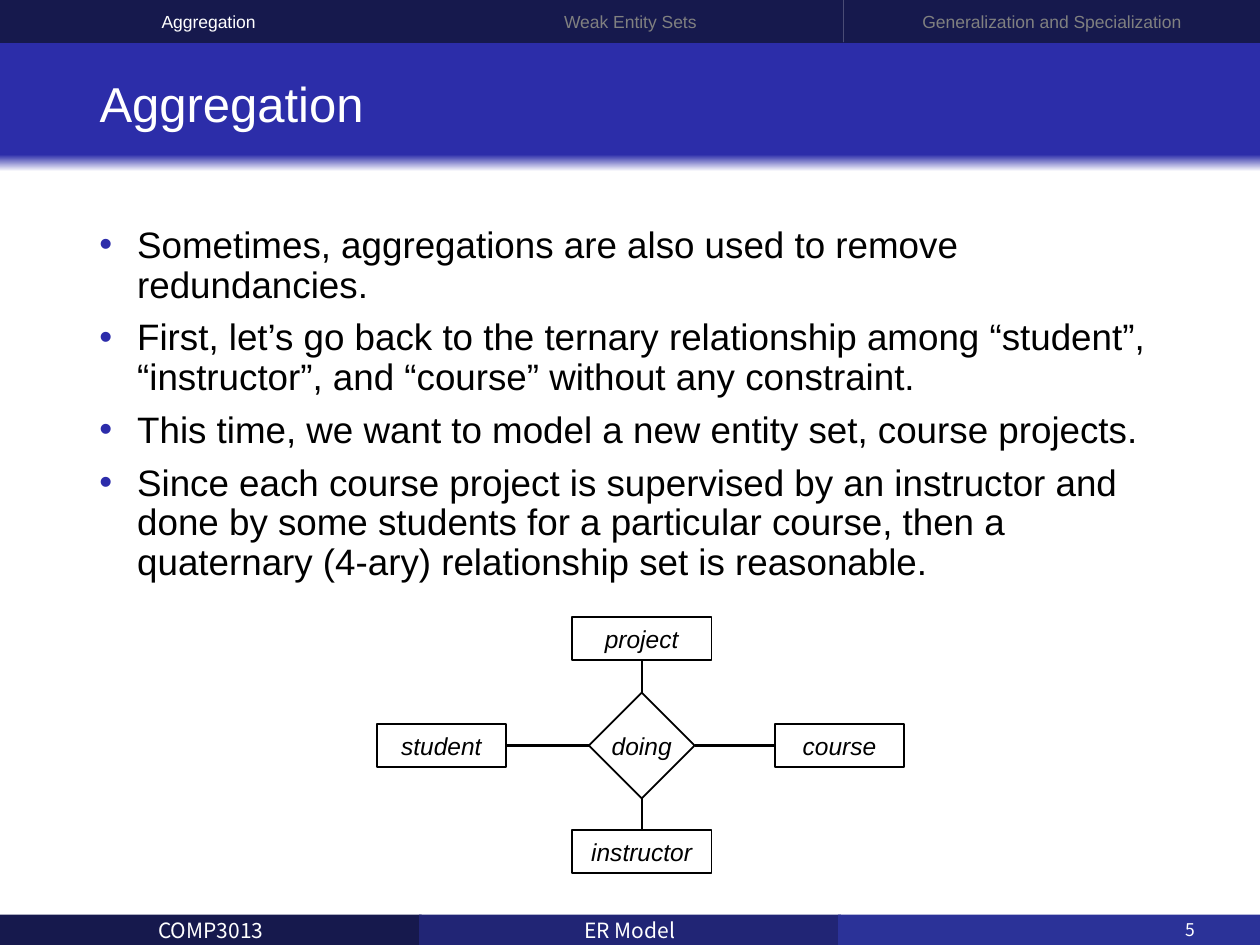
from pptx import Presentation
from pptx.dml.color import RGBColor
from pptx.enum.shapes import MSO_CONNECTOR, MSO_SHAPE
from pptx.enum.text import MSO_ANCHOR, PP_ALIGN
from pptx.oxml.ns import qn
from pptx.util import Pt
from lxml.etree import SubElement

# Content
TITLE = "Aggregation"
POINTS = [
    "Sometimes, aggregations are also used to remove redundancies.",
    "First, let’s go back to the ternary relationship among “student”, "
    "“instructor”, and “course” without any constraint.",
    "This time, we want to model a new entity set, course projects.",
    "Since each course project is supervised by an instructor and done by "
    "some students for a particular course, then a quaternary (4-ary) "
    "relationship set is reasonable.",
]
TABS = [  # text, left, width, colour
    ("Aggregation", 0, 238.3, "white"),
    ("Weak Entity Sets", 238.3, 243.7, "grey"),
    ("Generalization and Specialization", 482, 238, "grey"),
]
FOOT = [("COMP3013", "navy"), ("ER Model", "deep"), ("", "royal")]
PAGE = "5"
HUB = "doing"
ENTS = [  # name, offset from hub, width
    ("student", (-114.5, 0), 73.5),
    ("course", (113, 0), 73.5),
    ("instructor", (0, 60.7), 80),
    ("project", (0, -61), 80),
]


class Theme:
    white, black, grey = "FFFFFF", "000000", "808080"
    navy, deep, royal = "16194D", "212575", "2B3298"
    band, dot = "2C2DA9", "2C2CAA"
    head = dict(name="Arial", size=Pt(28))
    body = dict(name="Arial", size=Pt(21))
    node = dict(name="Arial", size=Pt(14), italic=True)
    tab = dict(name="Arial", size=Pt(10))
    foot = dict(name="Noto Sans CJK SC", size=Pt(12))
    page = dict(name="Noto Sans CJK JP", size=Pt(10))


def rgb(name):
    return RGBColor.from_string(getattr(Theme, name))


def apply(item, form):
    for key, val in form.items():
        setattr(item, key, val)


def write(shape, text, font, color, align=PP_ALIGN.CENTER, wrap=True):
    frame = shape.text_frame
    apply(frame, dict(word_wrap=wrap, vertical_anchor=MSO_ANCHOR.MIDDLE))
    para = frame.paragraphs[0]
    para.alignment = align
    add_run(para, text, font, color)


def add_run(para, text, font, color):
    run = para.add_run()
    run.text = text
    apply(run.font, font)
    run.font.color.rgb = rgb(color)


def add_box(slide, kind, place, fill=None, line=None):
    shape = slide.shapes.add_shape(kind, *map(Pt, place))
    shape.shadow.inherit = False
    if fill:
        shape.fill.solid()
        shape.fill.fore_color.rgb = rgb(fill)
    else:
        shape.fill.background()
    if line:
        shape.line.color.rgb = rgb(line)
        shape.line.width = Pt(1)
    else:
        shape.line.fill.background()
    return shape


def add_text(slide, place):
    return slide.shapes.add_textbox(*map(Pt, place))


def add_link(slide, start, end):
    link = slide.shapes.add_connector(
        MSO_CONNECTOR.STRAIGHT, *map(Pt, (*start, *end)))
    link.line.color.rgb = rgb("black")
    link.line.width = Pt(1.25)
    SubElement(link._element.spPr, qn("a:effectLst"))


def add_foot(slide):
    top, high, wide = 522.7, 17.3, 241
    step = (720 - wide) / (len(FOOT) - 1)
    for i, (text, fill) in enumerate(FOOT):
        box = add_box(slide, MSO_SHAPE.RECTANGLE,
                      (i * step, top, wide, high), fill)
        if text:
            write(box, text, Theme.foot, "white")
    write(add_text(slide, (670.3, top, 43.2, high)), PAGE,
          Theme.page, "white", PP_ALIGN.LEFT)


def add_title(slide):
    # Band fades to white at its lower edge
    band = add_box(slide, MSO_SHAPE.RECTANGLE, (0, 23.8, 720, 74.2))
    band.fill.gradient()
    band.fill.gradient_angle = 90
    for stop, spot, color in zip(band.fill.gradient_stops,
                                 (0, 0.13), ("white", "band")):
        stop.position = spot
        stop.color.rgb = rgb(color)
    # Title goes in front of the band
    title = slide.shapes.title
    apply(title, dict(left=Pt(49.7), top=Pt(28), width=Pt(620.6),
                      height=Pt(66.2)))
    write(title, TITLE, Theme.head, "white", PP_ALIGN.LEFT)
    title.text_frame.paragraphs[0].line_spacing = 0.9
    slide.shapes._spTree.append(title._element)


def add_points(slide):
    frame = add_text(slide, (49.7, 126, 620.6, 345.6)).text_frame
    frame.word_wrap = True
    for i, text in enumerate(POINTS):
        para = frame.add_paragraph() if i else frame.paragraphs[0]
        props = para._p.get_or_add_pPr()
        props.set("marL", str(Pt(21.6)))
        props.set("indent", str(-Pt(21.6)))
        tint = SubElement(props, qn("a:buClr"))
        SubElement(tint, qn("a:srgbClr"), val=Theme.dot)
        SubElement(props, qn("a:buFont"), typeface="Arial")
        SubElement(props, qn("a:buChar"), char="•")
        para.line_spacing = 0.9
        if i:
            para.space_before = Pt(7.5)
        add_run(para, text, Theme.body, "black")


def add_graph(slide):
    mid_x, mid_y, half, high = 366.7, 426, 30.2, 24.5
    add_box(slide, MSO_SHAPE.DIAMOND,
            (mid_x - half, mid_y - half, 2 * half, 2 * half), line="black")
    write(add_text(slide, (mid_x - 24.5, mid_y - high / 2, 49, high)),
          HUB, Theme.node, "black", wrap=False)
    for name, (dx, dy), wide in ENTS:
        x, y = mid_x + dx, mid_y + dy
        box = add_box(slide, MSO_SHAPE.RECTANGLE,
                      (x - wide / 2, y - high / 2, wide, high), line="black")
        write(box, name, Theme.node, "black")
        # Link runs from the hub corner to the near side of the box
        sx, sy = (dx > 0) - (dx < 0), (dy > 0) - (dy < 0)
        add_link(slide, (mid_x + sx * half, mid_y + sy * half),
                 (x - sx * wide / 2, y - sy * high / 2))


def add_tabs(slide):
    for text, left, wide, color in TABS:
        box = add_box(slide, MSO_SHAPE.RECTANGLE, (left, 0, wide, 24.5),
                      "navy")
        write(box, text, Theme.tab, color)


def main():
    deck = Presentation()
    deck.slide_width, deck.slide_height = Pt(720), Pt(540)
    slide = deck.slides.add_slide(deck.slide_layouts[5])
    for part in (add_foot, add_title, add_points, add_graph, add_tabs):
        part(slide)
    deck.save("out.pptx")


if __name__ == "__main__":
    main()
